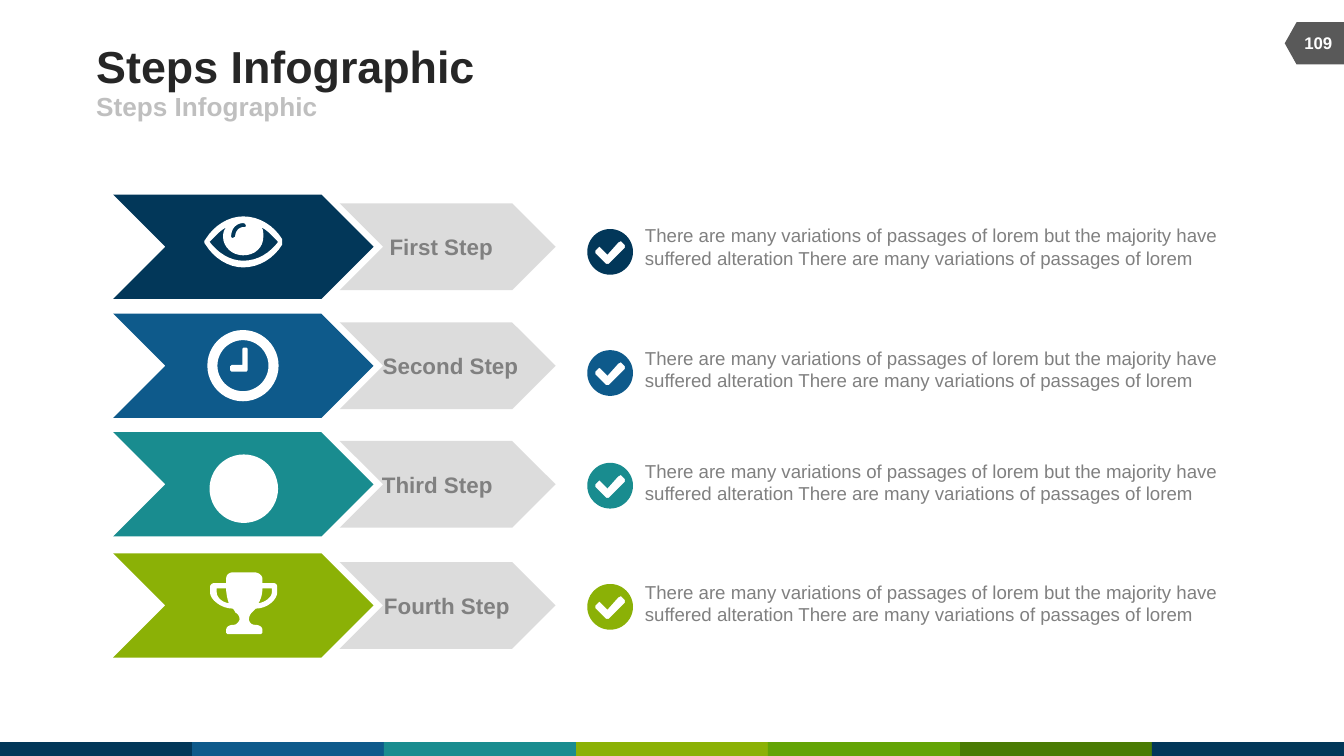
from math import cos, pi, sin

from pptx import Presentation
from pptx.dml.color import RGBColor
from pptx.enum.shapes import MSO_SHAPE
from pptx.enum.text import MSO_ANCHOR, PP_ALIGN
from pptx.oxml.ns import qn
from pptx.util import Cm, Pt

RECTANGLE = MSO_SHAPE.RECTANGLE
CHEVRON = MSO_SHAPE.CHEVRON
PAGE_TAG = MSO_SHAPE.FLOWCHART_OFFPAGE_CONNECTOR
LEFT, CENTER = PP_ALIGN.LEFT, PP_ALIGN.CENTER
TOP, MIDDLE = MSO_ANCHOR.TOP, MSO_ANCHOR.MIDDLE

THEME = {
    "font": "Arial",
    "navy": "023759", "blue": "0E5A8B", "teal": "198C8F", "lime": "8BB106",
    "green": "63A406", "forest": "4A7B04",
    "title": "262626", "subtitle": "BFBFBF", "text": "808080",
    "label_fill": "D9D9D9", "tag": "595959", "white": "FFFFFF",
    "title_size": 24, "subtitle_size": 14, "label_size": 12,
    "text_size": 10, "page_size": 9,
}


def circle(center, radius, count=48):
    angles = [2 * pi * i / count for i in range(count)]
    return [(center + radius * cos(a), center + radius * sin(a)) for a in angles]


# Icon outlines: a pair is a line end, six numbers are a Bézier curve
ICON_UNIT = 0.0254  # cm
EYE = [
    [(58, 21), (52, 31, 41, 38, 29, 38), (18, 38, 7, 31, 1, 21),
     (1, 21, 0, 20, 0, 19), (0, 18, 1, 17, 1, 17), (7, 7, 18, 0, 29, 0),
     (41, 0, 52, 7, 58, 17), (58, 17, 58, 18, 58, 19)],
    [(42, 8), (44, 9, 44, 12, 44, 15), (44, 23, 38, 29, 29, 29),
     (21, 29, 14, 23, 14, 15), (14, 12, 15, 9, 17, 8), (12, 10, 8, 15, 4, 19),
     (10, 27, 19, 33, 29, 33), (40, 33, 49, 27, 55, 19), (51, 15, 47, 10, 42, 8)],
    [(29, 5), (24, 5, 20, 9, 20, 15), (20, 15, 20, 16, 21, 16),
     (22, 16, 23, 15, 23, 15), (23, 11, 26, 8, 29, 8), (30, 8, 31, 8, 31, 7),
     (31, 6, 30, 5, 29, 5)],
]
CLOCK = [
    circle(26.5, 26.5),
    circle(26.5, 19),
    [(30, 30), (29, 31), (18, 31), (17, 30), (17, 27), (18, 26), (26, 26),
     (26, 14), (27, 13), (29, 13), (30, 14)],
]
DISC = [circle(25.5, 25.5)]
TROPHY = [
    [(50, 15), (50, 20, 43, 27, 34, 27), (33, 28, 31, 30, 31, 30),
     (30, 31, 29, 33, 29, 35), (29, 36, 30, 39, 33, 39), (36, 39, 39, 40, 39, 43),
     (39, 45), (38, 46), (13, 46), (12, 45), (12, 43), (12, 40, 15, 39, 18, 39),
     (20, 39, 22, 36, 22, 35), (22, 33, 21, 31, 19, 30), (19, 30, 18, 28, 17, 27),
     (8, 27, 0, 20, 0, 15), (0, 11), (0, 9, 2, 8, 3, 8), (12, 8), (12, 5),
     (12, 2, 14, 0, 17, 0), (33, 0), (36, 0, 39, 2, 39, 5), (39, 8), (47, 8),
     (49, 8, 50, 9, 50, 11)],
    [(12, 12), (5, 12), (5, 15), (5, 18, 8, 22, 14, 23), (13, 20, 12, 16, 12, 12)],
    [(46, 12), (39, 12), (39, 16, 38, 20, 36, 23), (42, 22, 46, 18, 46, 15)],
]
CHECK_BADGE = [
    circle(17, 17),
    [(28, 12), (25, 9), (23, 10), (15, 19), (10, 14), (9, 13), (8, 14), (6, 16),
     (6, 18), (14, 26), (16, 26), (28, 14)],
]

# Content
TITLE = "Steps Infographic"
PAGE_NUMBER = "109"
DESCRIPTION = ("There are many variations of passages of lorem but the majority have "
               "suffered alteration There are many variations of passages of lorem")
# label, colour, arrow top, label left and width, icon, icon left and top,
# badge top, description top (cm)
STEPS = [
    ("First Step", "navy", 3.68, 7.35, 1.98, EYE, 3.86, 4.09, 4.33, 4.24),
    ("Second Step", "blue", 5.93, 7.22, 2.59, CLOCK, 3.92, 6.24, 6.62, 6.55),
    ("Third Step", "teal", 8.17, 7.21, 2.11, DISC, 3.96, 8.59, 8.75, 8.69),
    ("Fourth Step", "lime", 10.46, 7.24, 2.41, TROPHY, 3.97, 10.82, 11.04, 10.98),
]
STRIPE_COLORS = ["navy", "blue", "teal", "lime", "green", "forest", "navy"]

# Layout (cm)
SLIDE_WIDTH, SLIDE_HEIGHT = 25.4, 14.29
STRIPE_HEIGHT = 0.26
ARROW_LEFT, ARROW_WIDTH, ARROW_HEIGHT = 2.14, 4.92, 1.97
LABEL_ARROW_LEFT, LABEL_ARROW_WIDTH, LABEL_ARROW_HEIGHT = 6.42, 4.08, 1.64
LABEL_HEIGHT = 0.51
BADGE_LEFT = 11.1
DESCRIPTION_LEFT, DESCRIPTION_WIDTH, DESCRIPTION_HEIGHT = 12.19, 11.23, 0.86


def paint(shape, color):
    shape.shadow.inherit = False
    shape.fill.solid()
    shape.fill.fore_color.rgb = RGBColor.from_string(THEME[color])
    shape.line.fill.background()
    return shape


def set_opacity(shape, percent):
    color = shape.element.spPr.find(qn("a:solidFill")).find(qn("a:srgbClr"))
    color.append(color.makeelement(qn("a:alpha"), {"val": str(percent * 1000)}))


def add_block(slide, kind, left, top, width, height, color):
    shape = slide.shapes.add_shape(kind, Cm(left), Cm(top), Cm(width), Cm(height))
    return paint(shape, color)


def add_text(slide, text, left, top, width, height, size, color,
             bold=True, align=LEFT, anchor=MIDDLE, wrap=True):
    box = slide.shapes.add_textbox(Cm(left), Cm(top), Cm(width), Cm(height))
    frame = box.text_frame
    frame.margin_left = frame.margin_right = frame.margin_top = frame.margin_bottom = 0
    frame.word_wrap = wrap
    frame.vertical_anchor = anchor
    paragraph = frame.paragraphs[0]
    paragraph.alignment = align
    run = paragraph.add_run()
    run.text = text
    run.font.name = THEME["font"]
    run.font.size = Pt(THEME[size])
    run.font.bold = bold
    run.font.color.rgb = RGBColor.from_string(THEME[color])


def flatten(contour, steps=8):
    points = [contour[0]]
    for segment in contour[1:]:
        if len(segment) == 2:
            points.append(segment)
            continue
        start, (x1, y1, x2, y2, x3, y3) = points[-1], segment
        for t in (i / steps for i in range(1, steps + 1)):
            weights = ((1 - t) ** 3, 3 * t * (1 - t) ** 2, 3 * t * t * (1 - t), t ** 3)
            points.append(tuple(sum(w * v for w, v in zip(weights, values)) for values in
                                ((start[0], x1, x2, x3), (start[1], y1, y2, y3))))
    return points


def add_icon(slide, contours, left, top, color):
    outlines = [[(Cm(left + x * ICON_UNIT), Cm(top + y * ICON_UNIT))
                 for x, y in flatten(contour)] for contour in contours]
    builder = slide.shapes.build_freeform(*outlines[0][0])
    builder.add_line_segments(outlines[0][1:])
    for outline in outlines[1:]:
        builder.move_to(*outline[0])
        builder.add_line_segments(outline[1:])
    paint(builder.convert_to_shape(), color)


def add_step(slide, label, color, top, label_left, label_width,
             icon, icon_left, icon_top, badge_top, description_top):
    middle = top + ARROW_HEIGHT / 2
    add_block(slide, CHEVRON, ARROW_LEFT, top, ARROW_WIDTH, ARROW_HEIGHT, color)
    add_icon(slide, icon, icon_left, icon_top, "white")
    label_arrow = add_block(slide, CHEVRON, LABEL_ARROW_LEFT, middle - LABEL_ARROW_HEIGHT / 2,
                            LABEL_ARROW_WIDTH, LABEL_ARROW_HEIGHT, "label_fill")
    set_opacity(label_arrow, 90)
    add_text(slide, label, label_left, middle - LABEL_HEIGHT / 2, label_width, LABEL_HEIGHT,
             "label_size", "text", align=CENTER, wrap=False)
    add_icon(slide, CHECK_BADGE, BADGE_LEFT, badge_top, color)
    add_text(slide, DESCRIPTION, DESCRIPTION_LEFT, description_top, DESCRIPTION_WIDTH,
             DESCRIPTION_HEIGHT, "text_size", "text", bold=False, anchor=TOP)


presentation = Presentation()
presentation.slide_width, presentation.slide_height = Cm(SLIDE_WIDTH), Cm(SLIDE_HEIGHT)
slide = presentation.slides.add_slide(presentation.slide_layouts[6])

# Bottom stripe
stripe_width = SLIDE_WIDTH / len(STRIPE_COLORS)
for index, color in enumerate(STRIPE_COLORS):
    add_block(slide, RECTANGLE, index * stripe_width, SLIDE_HEIGHT - STRIPE_HEIGHT,
              stripe_width, STRIPE_HEIGHT, color)

# Page tag and headings
add_block(slide, PAGE_TAG, 24.44, 0.26, 0.8, 1.12, "tag").rotation = 90
add_text(slide, PAGE_NUMBER, 24.38, 0.43, 1.07, 0.76, "page_size", "white", align=CENTER)
add_text(slide, TITLE, 1.82, 0.74, 15.67, 0.99, "title_size", "title")
add_text(slide, TITLE, 1.82, 1.73, 11.43, 0.56, "subtitle_size", "subtitle")

# Steps
for step in STEPS:
    add_step(slide, *step)

presentation.save("out.pptx")
